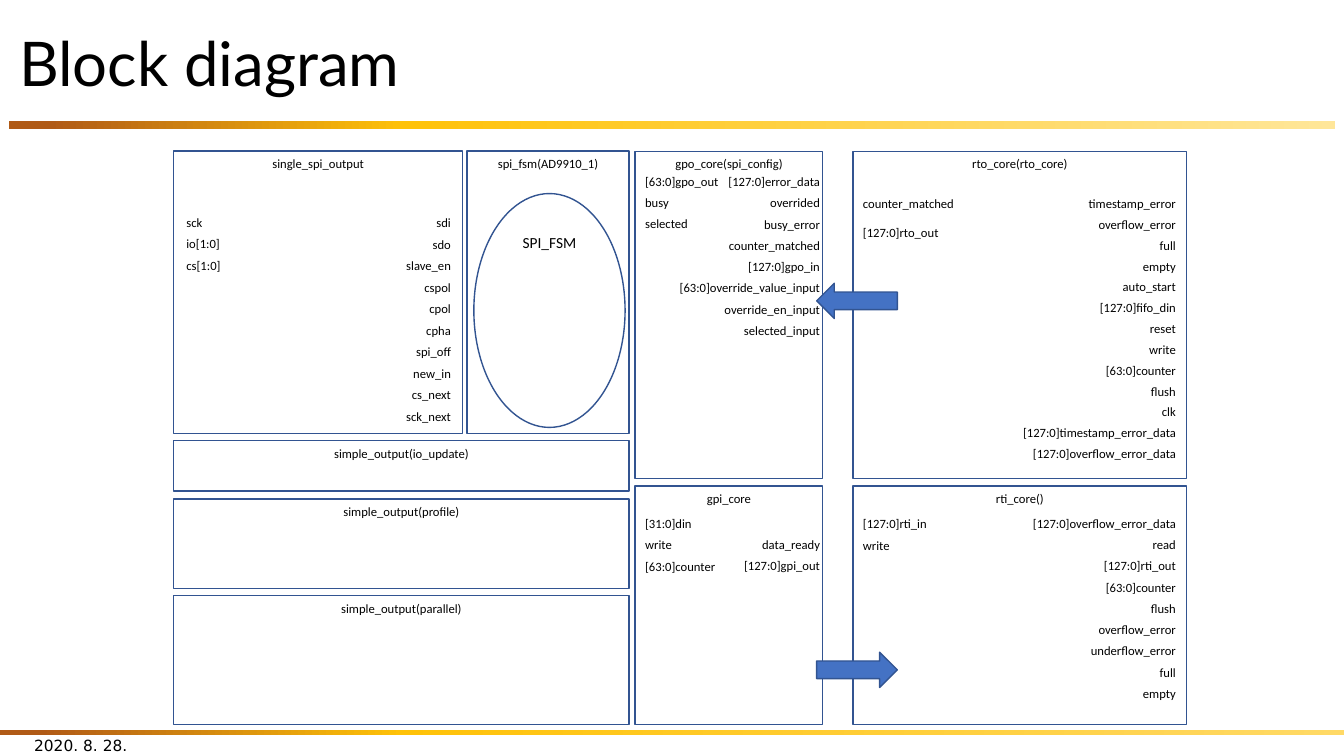
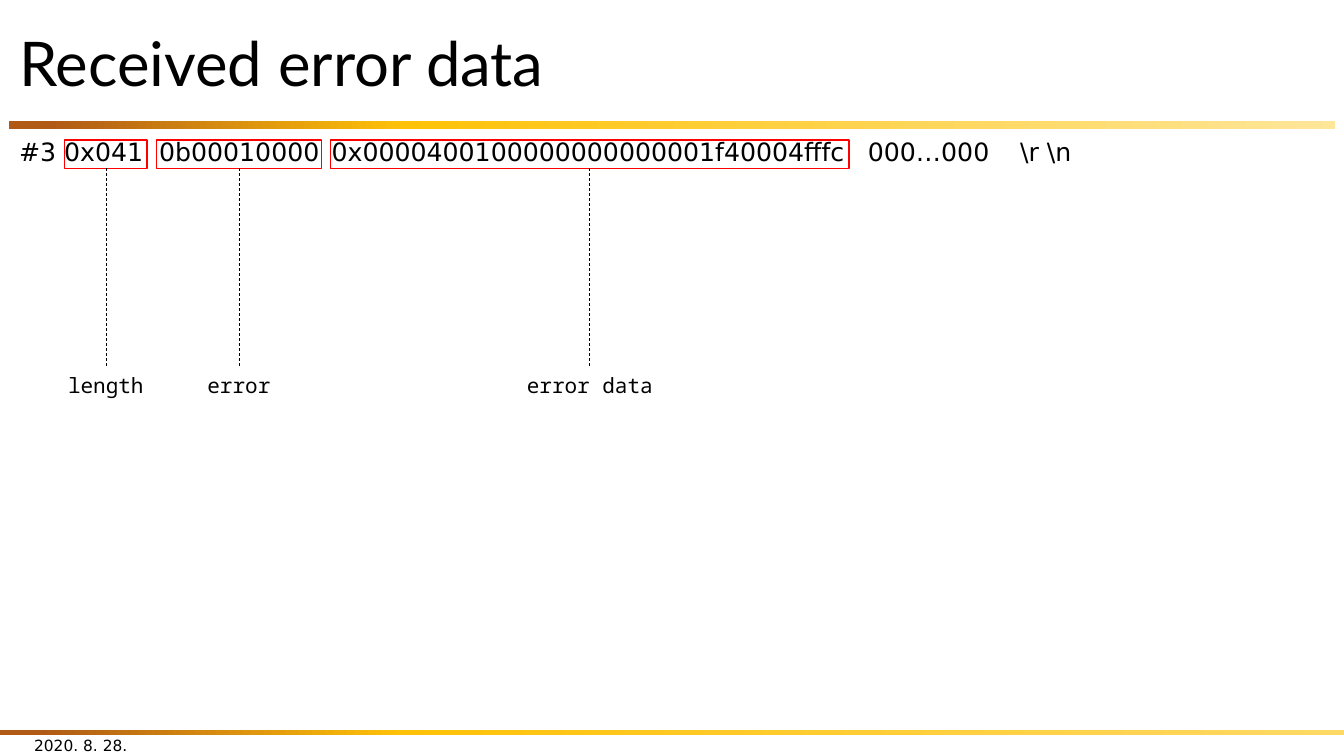
from lxml.etree import SubElement
from pptx import Presentation
from pptx.dml.color import RGBColor
from pptx.enum.dml import MSO_LINE
from pptx.enum.shapes import MSO_CONNECTOR, MSO_SHAPE
from pptx.enum.text import MSO_ANCHOR, PP_ALIGN
from pptx.oxml.ns import qn
from pptx.util import Inches, Pt

COLORS = {
    "text": "000000",
    "outline": "325491",
    "arrow": "4472C4",
    "field": "FF0000",
    "rust": "B05A16",
    "gold": "FFC208",
    "cream": "FFE699",
    "sand": "FFD966",
}
TITLE_FONT, BLOCK_FONT = "Lato", "Calibri"
DATA_FONT, LABEL_FONT = "DejaVu Sans", "Noto Sans Mono"
LEFT, CENTER, RIGHT = PP_ALIGN.LEFT, PP_ALIGN.CENTER, PP_ALIGN.RIGHT
PIN_HEIGHT = 0.2


def rgb(name):
    return RGBColor.from_string(COLORS[name])


class Deck:
    def __init__(self):
        self.prs = Presentation()
        self.prs.slide_width = Inches(13.33)
        self.prs.slide_height = Inches(7.5)
        self.s = None

    def slide(self, title):
        self.s = self.prs.slides.add_slide(self.prs.slide_layouts[6])
        self.band(0.09, 1.2, 13.15, 0.08, "cream")
        self.band(0, 7.24, 13.33, 0.05, "sand")
        self.text(0.24, 7.19, 3, 0.4, "2020. 8. 28.", DATA_FONT, 11,
                  anchor=MSO_ANCHOR.MIDDLE)
        self.text(0.09, 0.17, 13.15, 0.98, title, TITLE_FONT, 44,
                  anchor=MSO_ANCHOR.MIDDLE, spacing=0.9)

    def fill_text(self, tf, text, font, size, align=LEFT,
                  anchor=MSO_ANCHOR.TOP, spacing=None):
        tf.word_wrap = True
        tf.vertical_anchor = anchor
        p = tf.paragraphs[0]
        p.alignment = align
        if spacing:
            p.line_spacing = spacing
        r = p.add_run()
        r.text = text
        r.font.name = font
        r.font.size = Pt(size)
        r.font.color.rgb = rgb("text")

    def text(self, x, y, w, h, text, font, size, **style):
        sp = self.s.shapes.add_textbox(Inches(x), Inches(y), Inches(w), Inches(h))
        self.fill_text(sp.text_frame, text, font, size, **style)
        return sp

    def shape(self, kind, x, y, w, h, line=None, fill=None):
        sp = self.s.shapes.add_shape(kind, Inches(x), Inches(y), Inches(w), Inches(h))
        sp.shadow.inherit = False
        if fill:
            sp.fill.solid()
            sp.fill.fore_color.rgb = rgb(fill)
        else:
            sp.fill.background()
        if line:
            sp.line.color.rgb = rgb(line)
            sp.line.width = Pt(1)
        else:
            sp.line.fill.background()
        return sp

    def band(self, x, y, w, h, end):
        sp = self.shape(MSO_SHAPE.RECTANGLE, x, y, w, h)
        sp.fill.gradient()
        sp.fill.gradient_angle = 0
        stops = sp._element.spPr.find(qn("a:gradFill")).find(qn("a:gsLst"))
        for stop in list(stops):
            stops.remove(stop)
        for percent, name in ((3, "rust"), (30, "gold"), (100, end)):
            stop = SubElement(stops, qn("a:gs"), pos=str(percent * 1000))
            SubElement(stop, qn("a:srgbClr"), val=COLORS[name])

    def block(self, x, y, w, h, name, kind=MSO_SHAPE.RECTANGLE, size=9):
        sp = self.shape(kind, x, y, w, h, "outline")
        self.fill_text(sp.text_frame, name, BLOCK_FONT, size, align=CENTER)

    def pins(self, x, w, first, last, names, align):
        step = (last - first) / (len(names) - 1)
        for i, name in enumerate(names):
            self.text(x, first + i * step, w, PIN_HEIGHT, name, BLOCK_FONT, 9,
                      align=align, anchor=MSO_ANCHOR.MIDDLE)

    def arrow(self, kind, y):
        self.shape(kind, 8.1, y, 0.8, 0.35, "outline", "arrow")

    def data(self, x, w, text):
        self.text(x, 1.34, w, 0.4, text, DATA_FONT, 18, spacing=0.9)

    def field(self, x, w, name, label_w):
        box = self.shape(MSO_SHAPE.RECTANGLE, x, 1.39, w, 0.28, "field")
        label = self.text(x + (w - label_w) / 2, 3.65, label_w, 0.35, name,
                          LABEL_FONT, 15, align=CENTER)
        c = self.s.shapes.add_connector(MSO_CONNECTOR.STRAIGHT, 0, 0, 0, 0)
        c.begin_connect(box, 2)
        c.end_connect(label, 0)
        c.line.color.rgb = rgb("text")
        c.line.width = Pt(0.5)
        c.line.dash_style = MSO_LINE.DASH
        SubElement(c._element.spPr, qn("a:effectLst"))


BLOCKS = [
    (1.72, 1.5, 2.87, 2.8, "single_spi_output"),
    (4.63, 1.5, 1.61, 2.8, "spi_fsm(AD9910_1)"),
    (1.72, 4.37, 4.52, 0.5, "simple_output(io_update)"),
    (1.72, 4.95, 4.52, 0.89, "simple_output(profile)"),
    (1.72, 5.91, 4.52, 1.28, "simple_output(parallel)"),
    (6.3, 1.5, 1.86, 3.25, "gpo_core(spi_config)"),
    (6.3, 4.82, 1.86, 2.37, "gpi_core"),
    (8.46, 1.5, 3.31, 3.25, "rto_core(rto_core)"),
    (8.46, 4.82, 3.31, 2.37, "rti_core()"),
]

PINS = [
    (1.75, 1.39, 2.11, 2.53, ["sck", "io[1:0]", "cs[1:0]"], LEFT),
    (2.9, 1.67, 2.11, 4.03,
     ["sdi", "sdo", "slave_en", "cspol", "cpol", "cpha", "spi_off", "new_in",
      "cs_next", "sck_next"], RIGHT),
    (6.3, 1.39, 1.7, 2.12, ["[63:0]gpo_out", "busy", "selected"], LEFT),
    (6.56, 1.67, 1.7, 3.18,
     ["[127:0]error_data", "overrided", "busy_error", "counter_matched",
      "[127:0]gpo_in", "[63:0]override_value_input", "override_en_input",
      "selected_input"], RIGHT),
    (6.3, 1.39, 5.09, 5.52, ["[31:0]din", "write", "[63:0]counter"], LEFT),
    (6.84, 1.39, 5.3, 5.51, ["data_ready", "[127:0]gpi_out"], RIGHT),
    (8.46, 1.39, 1.92, 2.21, ["counter_matched", "[127:0]rto_out"], LEFT),
    (9.85, 1.91, 1.92, 4.4,
     ["timestamp_error", "overflow_error", "full", "empty", "auto_start",
      "[127:0]fifo_din", "reset", "write", "[63:0]counter", "flush", "clk",
      "[127:0]timestamp_error_data", "[127:0]overflow_error_data"], RIGHT),
    (8.46, 1.39, 5.09, 5.31, ["[127:0]rti_in", "write"], LEFT),
    (9.85, 1.91, 5.09, 6.78,
     ["[127:0]overflow_error_data", "read", "[127:0]rti_out", "[63:0]counter",
      "flush", "overflow_error", "underflow_error", "full", "empty"], RIGHT),
]

DATA = [
    (0.09, 1.51, "#3 0x041"),
    (1.48, 2.4, "0b00010000"),
    (3.19, 5.41, "0x0000400100000000000001f40004fffc"),
    (8.51, 1.43, "000…000"),
    (10.02, 0.9, r"\r \n"),
]

FIELDS = [
    (0.64, 0.82, "length", 1.16),
    (1.55, 1.64, "error", 1.16),
    (3.28, 5.14, "error data", 1.69),
]


def main():
    deck = Deck()

    deck.slide("Block diagram")
    for block in BLOCKS:
        deck.block(*block)
    deck.block(4.7, 1.92, 1.5, 2.32, "SPI_FSM", MSO_SHAPE.OVAL, 11)
    for column in PINS:
        deck.pins(*column)
    deck.arrow(MSO_SHAPE.LEFT_ARROW, 2.81)
    deck.arrow(MSO_SHAPE.RIGHT_ARROW, 6.47)

    deck.slide("Received error data")
    for item in DATA:
        deck.data(*item)
    for field in FIELDS:
        deck.field(*field)

    deck.prs.save("out.pptx")


if __name__ == "__main__":
    main()
